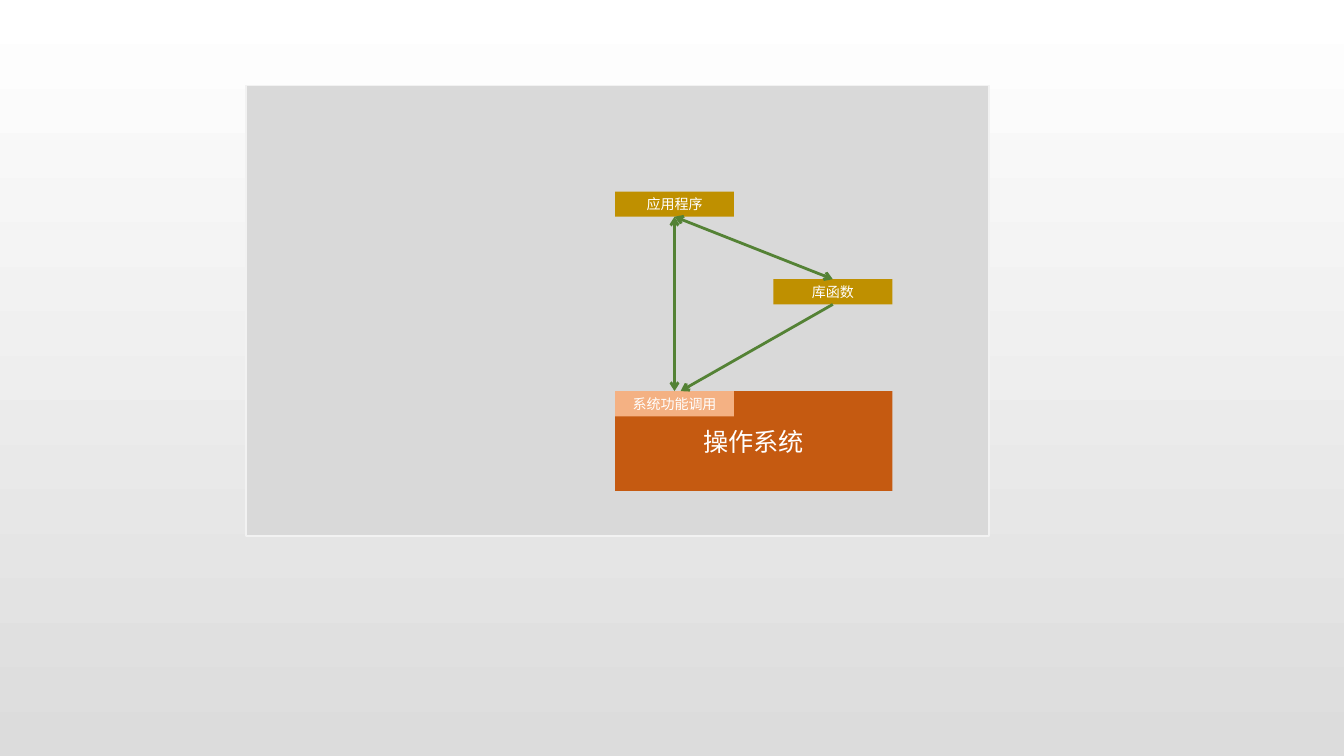
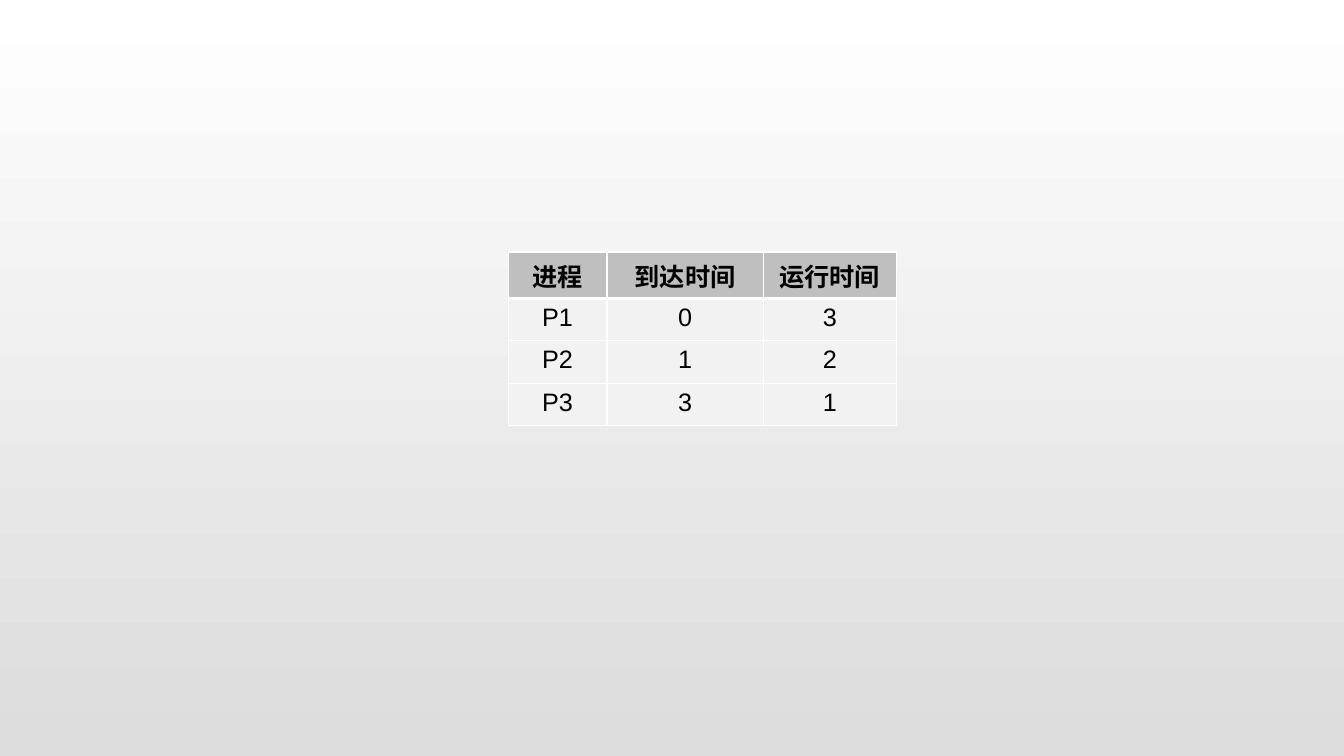
import dataclasses

import lxml.etree
import pptx
import pptx.dml.color
import pptx.enum.shapes
import pptx.enum.text
import pptx.oxml.ns
import pptx.util

Inches = pptx.util.Inches
Pt = pptx.util.Pt


@dataclasses.dataclass(frozen=True)
class Theme:
    """Colours, font and type sizes of the presentation."""
    font: str = "Arial"
    label_size: int = 10
    body_size: int = 18
    white: str = "FFFFFF"
    black: str = "000000"
    background_end: str = "DCDCDC"
    panel: str = "D9D9D9"
    panel_line: str = "F2F2F2"
    system: str = "C55A11"
    system_call: str = "F4B183"
    program: str = "BF9000"
    arrow: str = "548235"
    header_row: str = "BFBFBF"
    body_row: str = "F2F2F2"


def colour(value):
    """Turn a hex string into a colour."""
    return pptx.dml.color.RGBColor.from_string(value)


def add_element(parent, tag, **attributes):
    """Append an XML element such as a:ln and return it."""
    return lxml.etree.SubElement(parent, pptx.oxml.ns.qn(tag), **attributes)


class Deck:
    """Holds the presentation, its theme and the current slide."""

    def __init__(self, theme):
        """Start a widescreen presentation with the shared background."""
        self.theme = theme
        self.presentation = pptx.Presentation()
        self.presentation.slide_width = Inches(13.33)
        self.presentation.slide_height = Inches(7.5)
        fill = self.presentation.slide_master.background.fill
        fill.gradient()
        fill.gradient_angle = 270
        for stop, value in zip(fill.gradient_stops, (theme.white, theme.background_end)):
            stop.color.rgb = colour(value)
        self.slide = None

    def new_slide(self):
        """Add a blank slide and make it current."""
        self.slide = self.presentation.slides.add_slide(self.presentation.slide_layouts[6])

    def add_text(self, text_frame, text, size, value, bold=False):
        """Add one centred run."""
        paragraph = text_frame.paragraphs[0]
        paragraph.alignment = pptx.enum.text.PP_ALIGN.CENTER
        run = paragraph.add_run()
        run.text = text
        run.font.name = self.theme.font
        run.font.size = Pt(size)
        run.font.bold = bold
        run.font.color.rgb = colour(value)

    def box(self, left, top, width, height, fill, text="", size=None, line=None):
        """Add a rectangle with optional outline and white text."""
        shape = self.slide.shapes.add_shape(
            pptx.enum.shapes.MSO_SHAPE.RECTANGLE,
            Inches(left), Inches(top), Inches(width), Inches(height))
        shape.shadow.inherit = False
        shape.fill.solid()
        shape.fill.fore_color.rgb = colour(fill)
        if line:
            shape.line.color.rgb = colour(line)
            shape.line.width = Pt(1)
        else:
            shape.line.fill.background()
        if text:
            shape.text_frame.vertical_anchor = pptx.enum.text.MSO_ANCHOR.MIDDLE
            self.add_text(shape.text_frame, text, size, self.theme.white)

    def arrow(self, start, end, both_ends=False):
        """Add an arrow between two points."""
        connector = self.slide.shapes.add_connector(
            pptx.enum.shapes.MSO_CONNECTOR.STRAIGHT,
            *(Inches(length) for length in (*start, *end)))
        connector.line.color.rgb = colour(self.theme.arrow)
        connector.line.width = Pt(2)
        line = connector.line._get_or_add_ln()
        if both_ends:
            add_element(line, "a:headEnd", type="arrow")
        add_element(line, "a:tailEnd", type="arrow")
        add_element(connector._element.spPr, "a:effectLst")

    def border(self, cell, side, width):
        """Draw one white cell border; side is L, R, T or B."""
        line = add_element(cell._tc.get_or_add_tcPr(), "a:ln" + side, w=str(Pt(width)))
        fill = add_element(line, "a:solidFill")
        add_element(fill, "a:srgbClr", val=self.theme.white)

    def table(self, left, top, widths, row_height, rows):
        """Add a table whose first row is the header."""
        table = self.slide.shapes.add_table(
            len(rows), len(widths), Inches(left), Inches(top),
            Inches(sum(widths)), Inches(row_height * len(rows))).table
        for column, width in zip(table.columns, widths):
            column.width = Inches(width)
        for row_index, values in enumerate(rows):
            table.rows[row_index].height = Inches(row_height)
            is_header = row_index == 0
            for column_index, text in enumerate(values):
                cell = table.cell(row_index, column_index)
                for side in "LRTB":
                    thick = (is_header and side == "B") or (row_index == 1 and side == "T")
                    self.border(cell, side, 3 if thick else 1)
                cell.fill.solid()
                cell.fill.fore_color.rgb = colour(
                    self.theme.header_row if is_header else self.theme.body_row)
                self.add_text(cell.text_frame, text, self.theme.body_size,
                              self.theme.black, bold=is_header)


def build_system_call_slide(deck):
    """Show how programs and library functions reach the system."""
    theme = deck.theme
    deck.new_slide()
    left, right, label_width, label_height = 6.1, 8.85, 1.18, 0.25
    library_left = right - label_width
    program_top, library_top, system_top = 1.9, 2.77, 3.88
    deck.box(2.44, 0.85, 7.37, 4.47, theme.panel, line=theme.panel_line)
    deck.box(left, system_top, right - left, 0.99, theme.system, "操作系统", theme.body_size)
    for label_left, label_top, fill, text in (
            (left, system_top, theme.system_call, "系统功能调用"),
            (library_left, library_top, theme.program, "库函数"),
            (left, program_top, theme.program, "应用程序")):
        deck.box(label_left, label_top, label_width, label_height, fill, text, theme.label_size)

    program_bottom = (left + label_width / 2, program_top + label_height)
    library_middle = library_left + label_width / 2
    deck.arrow((library_middle, library_top + label_height), (6.75, system_top))
    deck.arrow(program_bottom, (program_bottom[0], system_top), both_ends=True)
    deck.arrow(program_bottom, (library_middle, library_top), both_ends=True)


def build_process_slide(deck):
    """Show the arrival and running time of each process."""
    deck.new_slide()
    deck.table(5.04, 2.5, (0.98, 1.55, 1.32), 0.42, (
        ("进程", "到达时间", "运行时间"),
        ("P1", "0", "3"),
        ("P2", "1", "2"),
        ("P3", "3", "1")))


deck = Deck(Theme())
build_system_call_slide(deck)
build_process_slide(deck)
deck.presentation.save("out.pptx")
